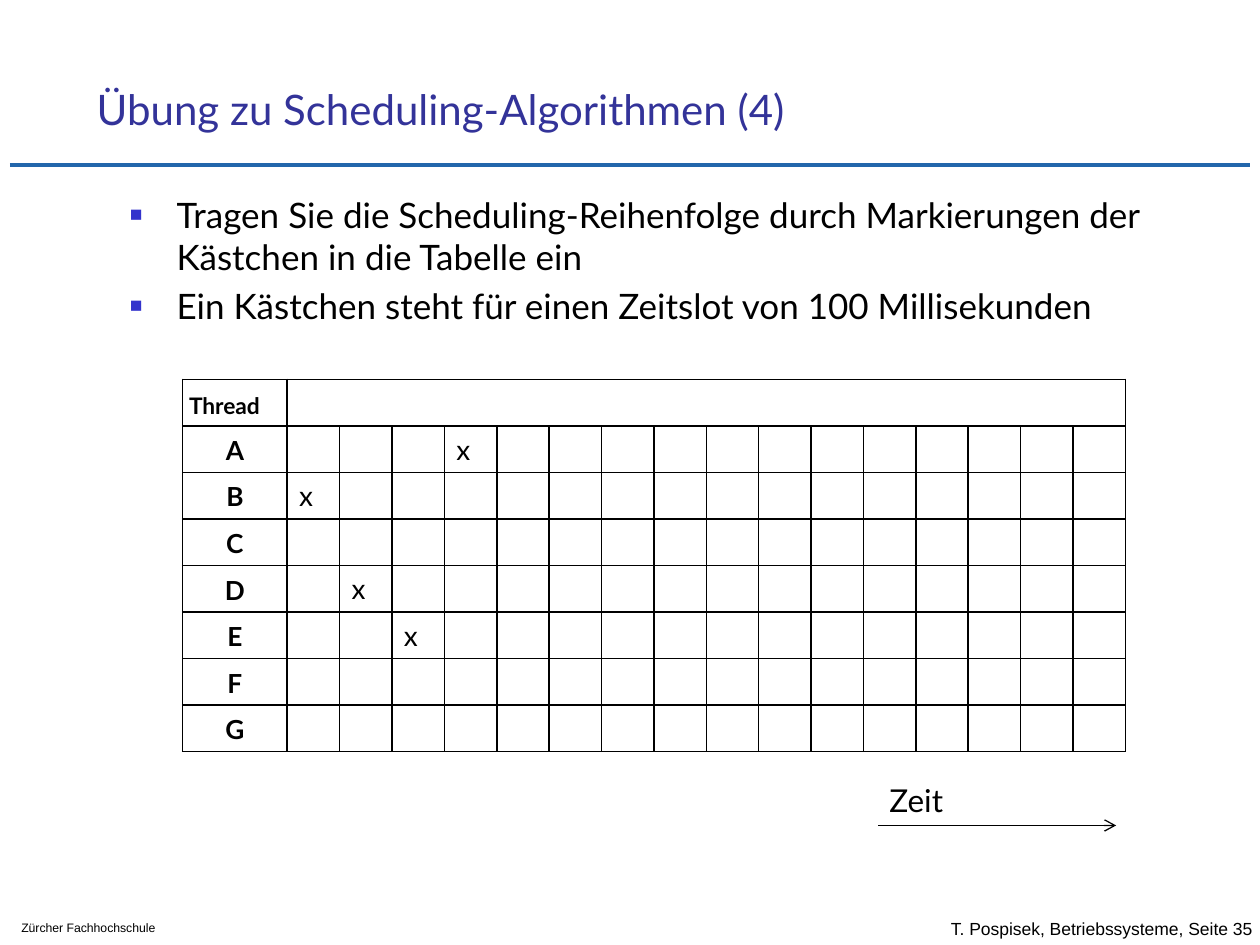
from lxml.etree import SubElement
from pptx import Presentation
from pptx.dml.color import RGBColor
from pptx.enum.shapes import MSO_CONNECTOR
from pptx.enum.text import MSO_ANCHOR, PP_ALIGN
from pptx.oxml.ns import qn
from pptx.util import Cm, Pt

COLORS = {
    "text": "000000",
    "title": "333399",
    "bullet": "3333CC",
    "rule": "2266AB",
    "cell": "FFFFFF",
}
BULLETS = [
    "Tragen Sie die Scheduling-Reihenfolge durch Markierungen der Kästchen in die Tabelle ein",
    "Ein Kästchen steht für einen Zeitslot von 100 Millisekunden",
]
THREADS = "ABCDEFG"
SLOTS = 16
MARKS = {"A": 4, "B": 1, "D": 2, "E": 3}  # thread -> marked time slot
TABLE_WIDTH, THREAD_WIDTH, ROW_HEIGHT = 19.02, 2.11, 0.76
CELL_PAD, MARK_PAD = 0.13, 0.24


def rgb(name):
    return RGBColor.from_string(COLORS[name])


def set_all(obj, values):
    for name, value in values.items():
        setattr(obj, name, value)


def write(p, text, size, color="text", font="Lato", bold=False):
    r = p.add_run()
    r.text = text
    set_all(r.font, {"size": Pt(size), "name": font, "bold": bold})
    r.font.color.rgb = rgb(color)


def add_text(s, box, lines, size, anchor=MSO_ANCHOR.TOP, wrap=True, bullets=False, **fmt):
    tf = s.shapes.add_textbox(*map(Cm, box)).text_frame
    set_all(tf, {"word_wrap": wrap, "vertical_anchor": anchor})
    for i, line in enumerate(lines):
        p = tf.add_paragraph() if i else tf.paragraphs[0]
        if bullets:
            add_bullet(p)
        if i:
            p.space_before = Pt(4)
        write(p, line, size, **fmt)


def add_bullet(p):
    pPr = p._p.get_or_add_pPr()
    pPr.set("marL", str(Cm(0.97)))
    pPr.set("indent", str(Cm(-0.94)))
    clr = SubElement(pPr, qn("a:buClr"))
    SubElement(clr, qn("a:srgbClr"), val=COLORS["bullet"])
    SubElement(pPr, qn("a:buSzPct"), val="60000")
    SubElement(pPr, qn("a:buFont"), typeface="Arial")
    SubElement(pPr, qn("a:buChar"), char="■")


def add_line(s, x1, x2, y, color, width, arrow=False):
    line = s.shapes.add_connector(MSO_CONNECTOR.STRAIGHT, Cm(x1), Cm(y), Cm(x2), Cm(y))
    line.line.color.rgb = rgb(color)
    line.line.width = Pt(width)
    if arrow:
        SubElement(line.line._get_or_add_ln(), qn("a:tailEnd"), type="arrow")
    SubElement(line._element.spPr, qn("a:effectLst"))


def format_cell(cell):
    pad = Cm(CELL_PAD)
    set_all(cell, {
        "margin_left": pad, "margin_right": pad, "margin_top": pad,
        "margin_bottom": pad, "vertical_anchor": MSO_ANCHOR.BOTTOM,
    })
    tcPr = cell._tc.get_or_add_tcPr()
    for side in ("lnL", "lnR", "lnT", "lnB"):
        ln = SubElement(tcPr, qn(f"a:{side}"), w=str(Pt(0.96)))
        fill = SubElement(ln, qn("a:solidFill"))
        SubElement(fill, qn("a:srgbClr"), val=COLORS["text"])
    cell.fill.solid()
    cell.fill.fore_color.rgb = rgb("cell")
    # Empty cells keep the text size of the marks, so all rows are equally high
    end = SubElement(cell.text_frame.paragraphs[0]._p, qn("a:endParaRPr"), sz="1600")
    SubElement(end, qn("a:latin"), typeface="Lato")


def add_schedule(s):
    rows = len(THREADS) + 1
    frame = s.shapes.add_table(rows, SLOTS + 1, Cm(3.68), Cm(7.65),
                               Cm(TABLE_WIDTH), Cm(ROW_HEIGHT * rows))
    table = frame.table
    set_all(table, {"first_row": False, "horz_banding": False})
    for i, col in enumerate(table.columns):
        col.width = Cm((TABLE_WIDTH - THREAD_WIDTH) / SLOTS if i else THREAD_WIDTH)
    for row in table.rows:
        row.height = Cm(ROW_HEIGHT)
    for cell in table.iter_cells():
        format_cell(cell)

    # Header row
    table.cell(0, 1).merge(table.cell(0, SLOTS))
    write(table.cell(0, 0).text_frame.paragraphs[0], "Thread", 13, bold=True)

    # One row per thread
    for i, thread in enumerate(THREADS, start=1):
        p = table.cell(i, 0).text_frame.paragraphs[0]
        p.alignment = PP_ALIGN.CENTER
        write(p, thread, 15, bold=True)
        if thread in MARKS:
            cell = table.cell(i, MARKS[thread])
            cell.margin_left = Cm(MARK_PAD)
            write(cell.text_frame.paragraphs[0], "x", 16)


def main():
    prs = Presentation()
    set_all(prs, {"slide_width": Cm(25.4), "slide_height": Cm(19.05)})
    s = prs.slides.add_slide(prs.slide_layouts[6])

    # Rule and footer
    add_line(s, 0.2, 25.2, 3.33, "rule", 2.5)
    add_text(s, (18.92, 18.29, 8.71, 0.84), ["T. Pospisek, Betriebssysteme, Seite 35"], 10,
             anchor=MSO_ANCHOR.MIDDLE, font="Arial")
    add_text(s, (0.18, 18.42, 4.37, 0.56), ["Zürcher Fachhochschule"], 7, font="Arial")

    # Title and task
    add_text(s, (1.7, 0.91, 21.64, 1.91), ["Übung zu Scheduling-Algorithmen (4)"], 24,
             anchor=MSO_ANCHOR.BOTTOM, color="title")
    add_text(s, (2.34, 3.78, 21.56, 2.13), BULLETS, 20, bullets=True)

    # Schedule with time axis
    add_schedule(s)
    add_line(s, 17.7, 22.5, 16.64, "text", 0.75, arrow=True)
    add_text(s, (17.68, 15.62, 1.63, 1.02), ["Zeit"], 18, wrap=False)

    prs.save("out.pptx")


if __name__ == "__main__":
    main()
